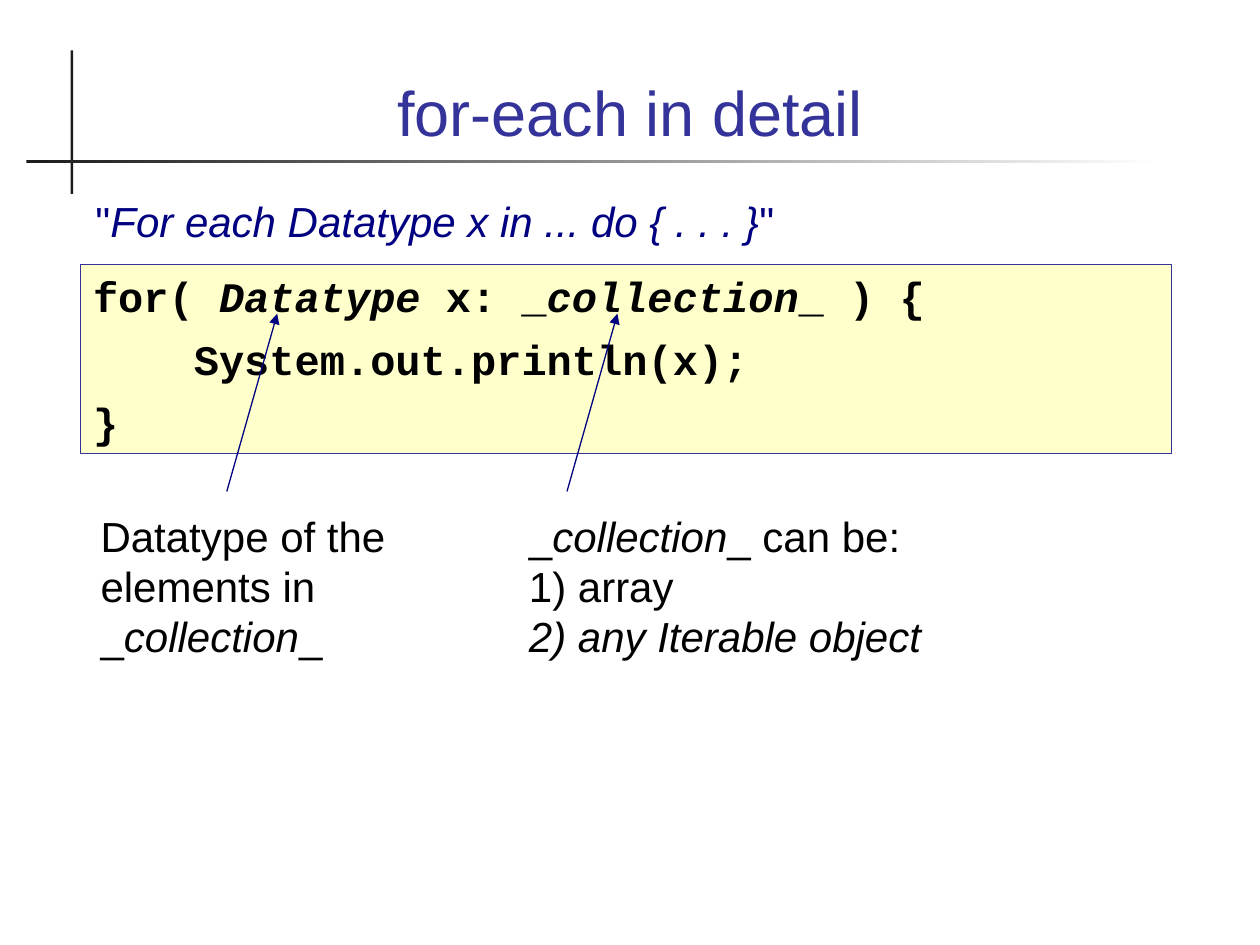
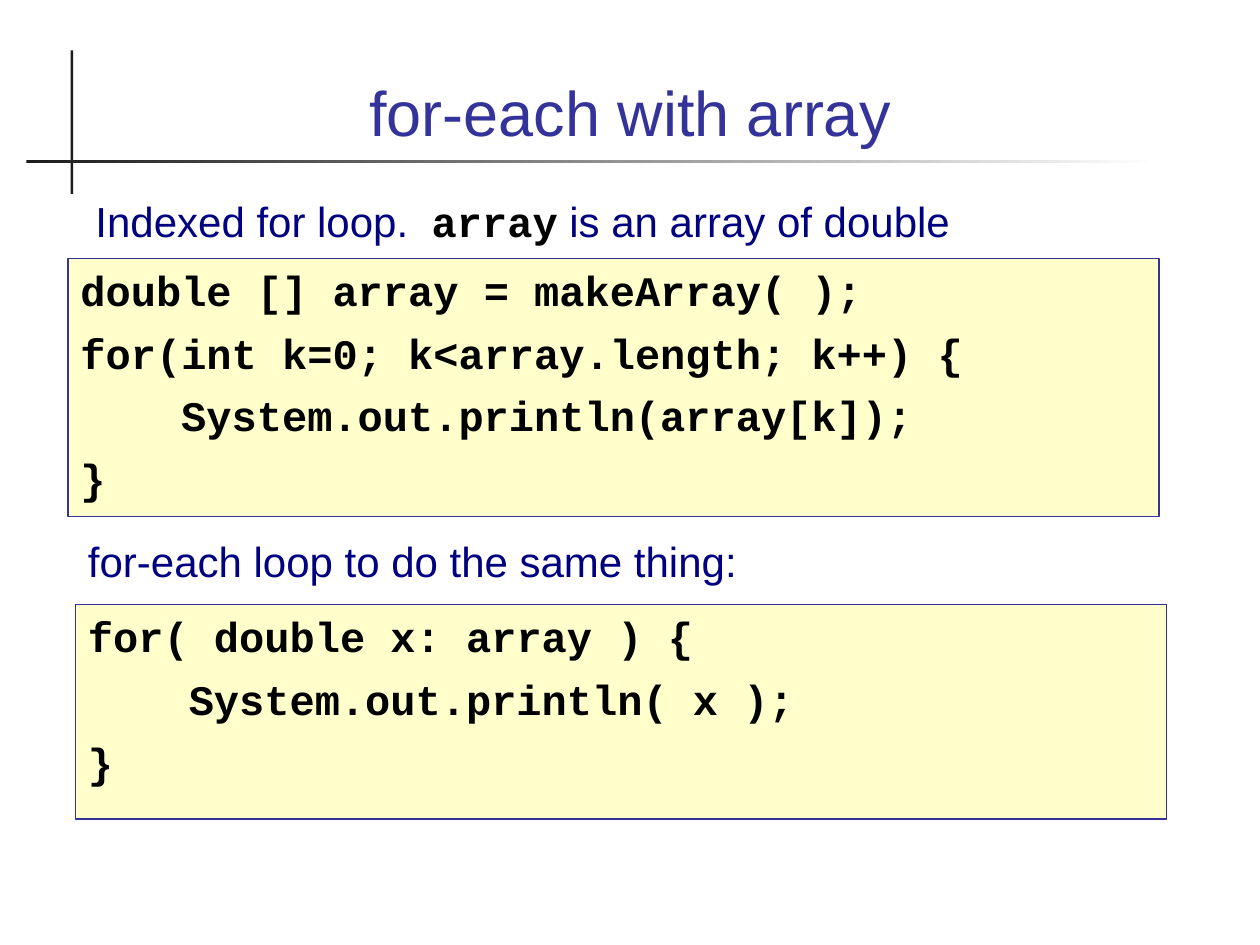
"""Build two slides that explain the for-each loop."""
from dataclasses import dataclass

from lxml import etree
from pptx import Presentation
from pptx import util as u
from pptx.dml.color import RGBColor
from pptx.enum import shapes, text
from pptx.oxml.ns import qn


@dataclass(frozen=True)
class Theme:
    title: RGBColor = RGBColor.from_string("333399")
    accent: RGBColor = RGBColor.from_string("000080")
    ink: RGBColor = RGBColor.from_string("000000")
    rule: RGBColor = RGBColor.from_string("1C1C1C")
    paper: RGBColor = RGBColor.from_string("FFFFFF")
    code_fill: RGBColor = RGBColor.from_string("FFFFCC")
    sans: str = "Arial"
    mono: str = "Courier New"
    title_size: u.Pt = u.Pt(36)
    body_size: u.Pt = u.Pt(24)
    code_gap: u.Pt = u.Pt(7)
    line_width: u.Pt = u.Pt(0.75)


THEME = Theme()
CODE_WIDTH = 8.66
HANGING = 0.24
CODE_INDENT = 0.8


def inches(*lengths):
    return [u.Inches(length) for length in lengths]


def style_font(font, name, size, color, bold=False):
    font.name, font.size, font.bold = name, size, bold
    font.color.rgb = color


def fill_paragraph(paragraph, content):
    """Accept a string, or runs given as strings and (string, format) pairs."""
    pieces = [content] if isinstance(content, str) else content
    for piece in pieces:
        wording, style = (piece, "") if isinstance(piece, str) else piece
        run = paragraph.add_run()
        run.text = wording
        if style == "italic":
            run.font.italic = True
        elif style == "code":
            style_font(run.font, THEME.mono, THEME.body_size, THEME.ink, bold=True)


def add_paragraphs(frame, contents):
    """Write one paragraph per entry and yield each for styling."""
    frame.word_wrap = True
    for index, content in enumerate(contents):
        paragraph = frame.paragraphs[0] if index == 0 else frame.add_paragraph()
        fill_paragraph(paragraph, content)
        yield paragraph


def add_text(slide, box, contents, color=THEME.ink, size=THEME.body_size):
    shape = slide.shapes.add_textbox(*inches(*box))
    for paragraph in add_paragraphs(shape.text_frame, contents):
        style_font(paragraph.font, THEME.sans, size, color)
    return shape


def add_rectangle(slide, box):
    shape = slide.shapes.add_shape(shapes.MSO_SHAPE.RECTANGLE, *inches(*box))
    shape.shadow.inherit = False
    return shape


def add_code(slide, left, top, height, lines):
    """Add a code box; each line is an indent level and its content."""
    shape = add_rectangle(slide, (left, top, CODE_WIDTH, height))
    shape.fill.solid()
    shape.fill.fore_color.rgb = THEME.code_fill
    shape.line.color.rgb = THEME.title
    shape.line.width = THEME.line_width
    frame = shape.text_frame
    frame.vertical_anchor = text.MSO_ANCHOR.TOP
    paragraphs = add_paragraphs(frame, [content for _, content in lines])
    for (level, _), paragraph in zip(lines, paragraphs):
        paragraph.alignment = text.PP_ALIGN.LEFT
        paragraph.space_before = THEME.code_gap
        style_font(paragraph.font, THEME.mono, THEME.body_size, THEME.ink, bold=True)
        properties = paragraph._p.get_or_add_pPr()
        properties.set("marL", str(u.Inches(HANGING + level * CODE_INDENT)))
        properties.set("indent", str(-u.Inches(HANGING)))


def add_arrow(slide, start, end):
    arrow = slide.shapes.add_connector(
        shapes.MSO_CONNECTOR.STRAIGHT, *inches(*start, *end))
    arrow.line.color.rgb = THEME.accent
    arrow.line.width = THEME.line_width
    etree.SubElement(arrow.line._get_or_add_ln(), qn("a:tailEnd"), type="triangle")
    etree.SubElement(arrow._element.spPr, qn("a:effectLst"))


def add_title_rules(slide):
    vertical = add_rectangle(slide, (0.56, 0.4, 0.02, 1.14))
    vertical.fill.solid()
    vertical.fill.fore_color.rgb = THEME.rule
    horizontal = add_rectangle(slide, (0.21, 1.27, 8.99, 0.02))
    horizontal.fill.gradient()
    horizontal.fill.gradient_angle = 0
    for stop, color in zip(horizontal.fill.gradient_stops, (THEME.rule, THEME.paper)):
        stop.color.rgb = color
    for rule in (vertical, horizontal):
        rule.line.fill.background()


def add_titled_slide(presentation, title):
    slide = presentation.slides.add_slide(presentation.slide_layouts[6])
    add_title_rules(slide)
    shape = add_text(slide, (0.67, 0.28, 8.66, 0.95), [title],
                     THEME.title, THEME.title_size)
    shape.text_frame.vertical_anchor = text.MSO_ANCHOR.BOTTOM
    shape.text_frame.paragraphs[0].alignment = text.PP_ALIGN.CENTER
    return slide


def add_caption(slide, left, top, content):
    add_text(slide, (left, top, 8.7, 0.5), [content], THEME.accent)


def build_detail_slide(presentation):
    slide = add_titled_slide(presentation, "for-each in detail")
    collection = ("collection", "italic")
    add_code(slide, 0.64, 2.1, 1.5, [
        (0, ["for( ", ("Datatype", "italic"), " x: _", collection, "_ ) {"]),
        (1, "System.out.println(x);"),
        (0, "}"),
    ])
    add_caption(slide, 0.66, 1.5, [
        '"', ("For each Datatype x in ... do { . . . }", "italic"), '"'])
    for foot in (1.8, 4.5):
        add_arrow(slide, (foot, 3.9), (foot + 0.4, 2.49))
    add_text(slide, (0.7, 4, 2.9, 1.3), [
        ["Datatype of the elements in _", collection, "_"]])
    add_text(slide, (4.1, 4, 4.1, 2.3), [
        ["_", collection, "_ can be:"],
        "1) array",
        [("2) any Iterable object", "italic")],
    ])


def build_array_slide(presentation):
    slide = add_titled_slide(presentation, "for-each with array")
    add_code(slide, 0.6, 4.8, 1.7, [
        (0, "for( double x: array ) {"),
        (1, "System.out.println( x );"),
        (0, "}"),
    ])
    add_caption(slide, 0.66, 1.5, [
        "Indexed for loop.  ", ("array", "code"), " is an array of double"])
    add_caption(slide, 0.6, 4.2, "for-each loop to do the same thing:")
    add_code(slide, 0.54, 2.05, 2.05, [
        (0, "double [] array = makeArray( );"),
        (0, "for(int k=0; k<array.length; k++) {"),
        (1, "System.out.println(array[k]);"),
        (0, "}"),
    ])


def main():
    presentation = Presentation()
    presentation.slide_width, presentation.slide_height = inches(10, 7.5)
    build_detail_slide(presentation)
    build_array_slide(presentation)
    presentation.save("out.pptx")


if __name__ == "__main__":
    main()
